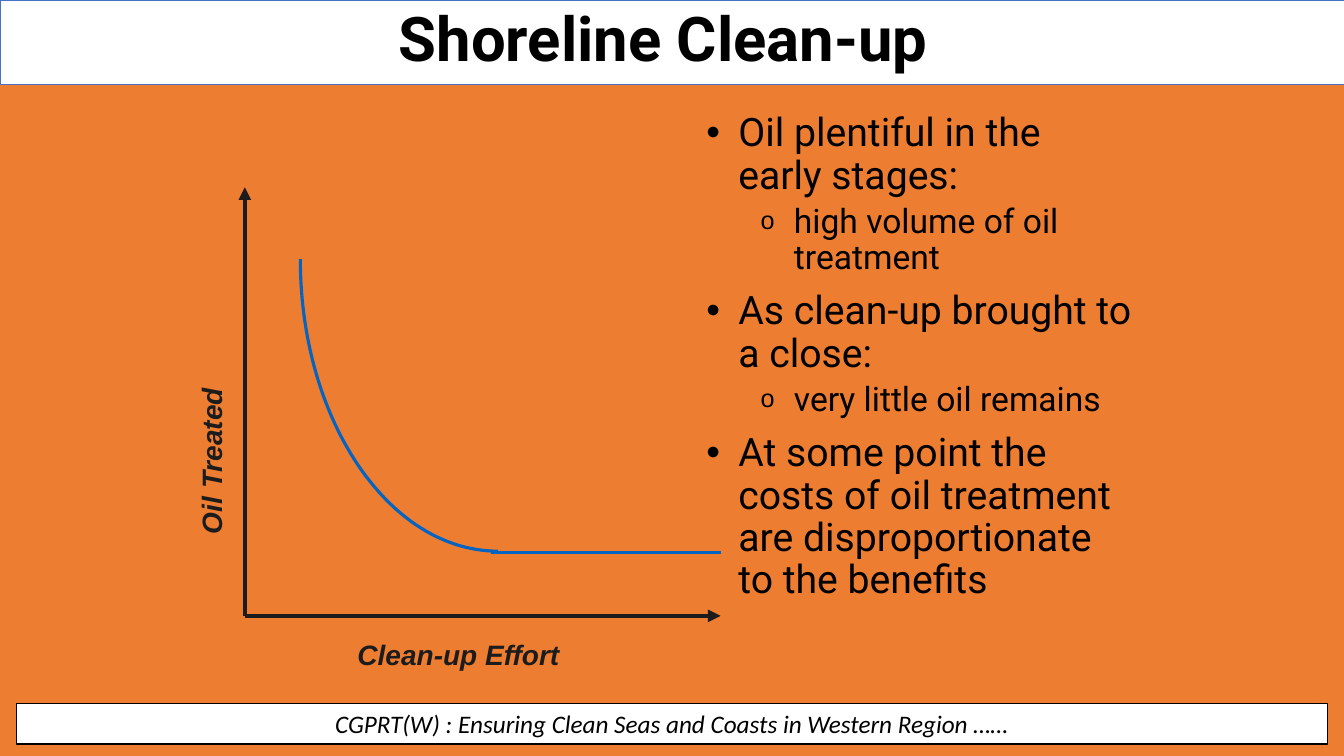
import lxml.etree
import pptx
import pptx.dml.color
import pptx.enum.shapes
import pptx.enum.text
import pptx.oxml.ns
import pptx.util

Cm, Pt = pptx.util.Cm, pptx.util.Pt
ALIGN = pptx.enum.text.PP_ALIGN
ANCHOR = pptx.enum.text.MSO_ANCHOR
qn = pptx.oxml.ns.qn

# Content
COLOURS = {"background": "ED7D31", "panel": "FFFFFF", "text": "000000",
           "banner_edge": "4472C4", "axis": "1C1C1C", "curve": "0563C1"}
TITLE = "Shoreline Clean-up"
FOOTER = "CGPRT(W) : Ensuring Clean Seas and Coasts in Western Region ……"
POINTS = [
    (0, "Oil plentiful in the early stages:"),
    (1, "high volume of oil treatment"),
    (0, "As clean-up brought to a close:"),
    (1, "very little oil remains"),
    (0, "At some point the costs of oil treatment are disproportionate to the benefits"),
]
LEVELS = [
    {"size": 28, "before": 10, "bullet": ("•", 100), "indent": (0.81, -0.81)},
    {"size": 24, "before": 5, "bullet": ("o", 75), "indent": (2.21, -0.84)},
]
AXIS_LABEL = {"size": 20, "font": "Arial", "colour": "axis", "bold": True, "italic": True}

# Graph geometry in cm
ORIGIN = (6.17, 15.52)
AXIS_TOP, AXIS_RIGHT = 4.72, 18.16
CURVE = [(7.57, 6.53), (7.57, 10.59), (9.81, 13.89), (12.55, 13.89)]
PLATEAU_LEFT, PLATEAU_Y = 12.37, 13.92
CURVE_STEPS = 60


def rgb(name):
    return pptx.dml.color.RGBColor.from_string(COLOURS[name])


def write(paragraph, text, size=18, font="Roboto", colour="text", bold=False,
          italic=False, align=ALIGN.LEFT, spacing=None, before=None,
          bullet=None, indent=None):
    if bullet:
        sign, percent = bullet
        properties = paragraph._p.get_or_add_pPr()
        left, hanging = indent
        properties.set("marL", str(Cm(left)))
        properties.set("indent", str(Cm(hanging)))
        for tag, key, value in (("a:buSzPct", "val", str(percent * 1000)),
                                ("a:buFont", "typeface", "Arial"),
                                ("a:buChar", "char", sign)):
            lxml.etree.SubElement(properties, qn(tag)).set(key, value)
    paragraph.alignment = align
    if spacing:
        paragraph.line_spacing = spacing
    if before:
        paragraph.space_before = Pt(before)
    run = paragraph.add_run()
    run.text = text
    run.font.size, run.font.name = Pt(size), font
    run.font.bold, run.font.italic = bold, italic
    run.font.color.rgb = rgb(colour)


def add_panel(slide, box, edge, width):
    panel = slide.shapes.add_shape(pptx.enum.shapes.MSO_SHAPE.RECTANGLE, *map(Cm, box))
    panel.shadow.inherit = False
    panel.fill.solid()
    panel.fill.fore_color.rgb = rgb("panel")
    panel.line.color.rgb = rgb(edge)
    panel.line.width = Pt(width)
    return panel


def add_text_box(slide, box, wrap=True):
    text_box = slide.shapes.add_textbox(*map(Cm, box))
    text_box.text_frame.word_wrap = wrap
    return text_box


def add_line(slide, start, end, colour, width, arrow=False):
    line = slide.shapes.add_connector(pptx.enum.shapes.MSO_CONNECTOR.STRAIGHT,
                                      *map(Cm, start + end))
    line.line.color.rgb = rgb(colour)
    line.line.width = Pt(width)
    if arrow:
        stroke = line.line._get_or_add_ln()
        lxml.etree.SubElement(stroke, qn("a:tailEnd")).set("type", "triangle")
    lxml.etree.SubElement(line._element.spPr, qn("a:effectLst"))


def curve_point(t):
    weights = ((1 - t) ** 3, 3 * t * (1 - t) ** 2, 3 * t ** 2 * (1 - t), t ** 3)
    return tuple(Cm(sum(w * point[axis] for w, point in zip(weights, CURVE)))
                 for axis in (0, 1))


def main():
    deck = pptx.Presentation()
    deck.slide_width, deck.slide_height = Cm(33.87), Cm(19.05)
    slide = deck.slides.add_slide(deck.slide_layouts[6])
    slide.background.fill.solid()
    slide.background.fill.fore_color.rgb = rgb("background")

    # Footer and title banner
    footer = add_panel(slide, (0.41, 17.73, 33.05, 1.02), "text", 0.75)
    footer.text_frame.vertical_anchor = ANCHOR.MIDDLE
    write(footer.text_frame.paragraphs[0], FOOTER, font="Calibri", italic=True,
          align=ALIGN.CENTER)
    add_panel(slide, (0, 0, 33.87, 2.13), "banner_edge", 0.5)
    title = add_text_box(slide, (4.67, 0.08, 24.1, 1.55))
    write(title.text_frame.paragraphs[0], TITLE, size=44, bold=True,
          align=ALIGN.CENTER, spacing=0.9)

    # Bullet points
    points = add_text_box(slide, (17.55, 2.72, 11.23, 13.69)).text_frame
    for index, (level, text) in enumerate(POINTS):
        paragraph = points.add_paragraph() if index else points.paragraphs[0]
        paragraph.level = level
        look = dict(LEVELS[level])
        if index == 0:
            look["before"] = None
        write(paragraph, text, spacing=0.9, **look)

    # Axes and their labels
    for tip in ((ORIGIN[0], AXIS_TOP), (AXIS_RIGHT, ORIGIN[1])):
        add_line(slide, ORIGIN, tip, "axis", 3, arrow=True)
    effort = add_text_box(slide, (8.76, 15.93, 5.82, 1.12), wrap=False)
    write(effort.text_frame.paragraphs[0], "Clean-up Effort", **AXIS_LABEL)
    treated = add_text_box(slide, (2.24, 10.06, 6.17, 1.12))
    treated.rotation = 270
    write(treated.text_frame.paragraphs[0], "Oil Treated", **AXIS_LABEL)

    # Falling curve and its plateau
    builder = slide.shapes.build_freeform(*curve_point(0))
    builder.add_line_segments([curve_point(step / CURVE_STEPS)
                               for step in range(1, CURVE_STEPS + 1)], close=False)
    curve = builder.convert_to_shape()
    curve.shadow.inherit = False
    curve.fill.background()
    curve.line.color.rgb = rgb("curve")
    curve.line.width = Pt(2.25)
    add_line(slide, (PLATEAU_LEFT, PLATEAU_Y), (AXIS_RIGHT, PLATEAU_Y), "curve", 2.25)

    deck.save("out.pptx")


if __name__ == "__main__":
    main()
